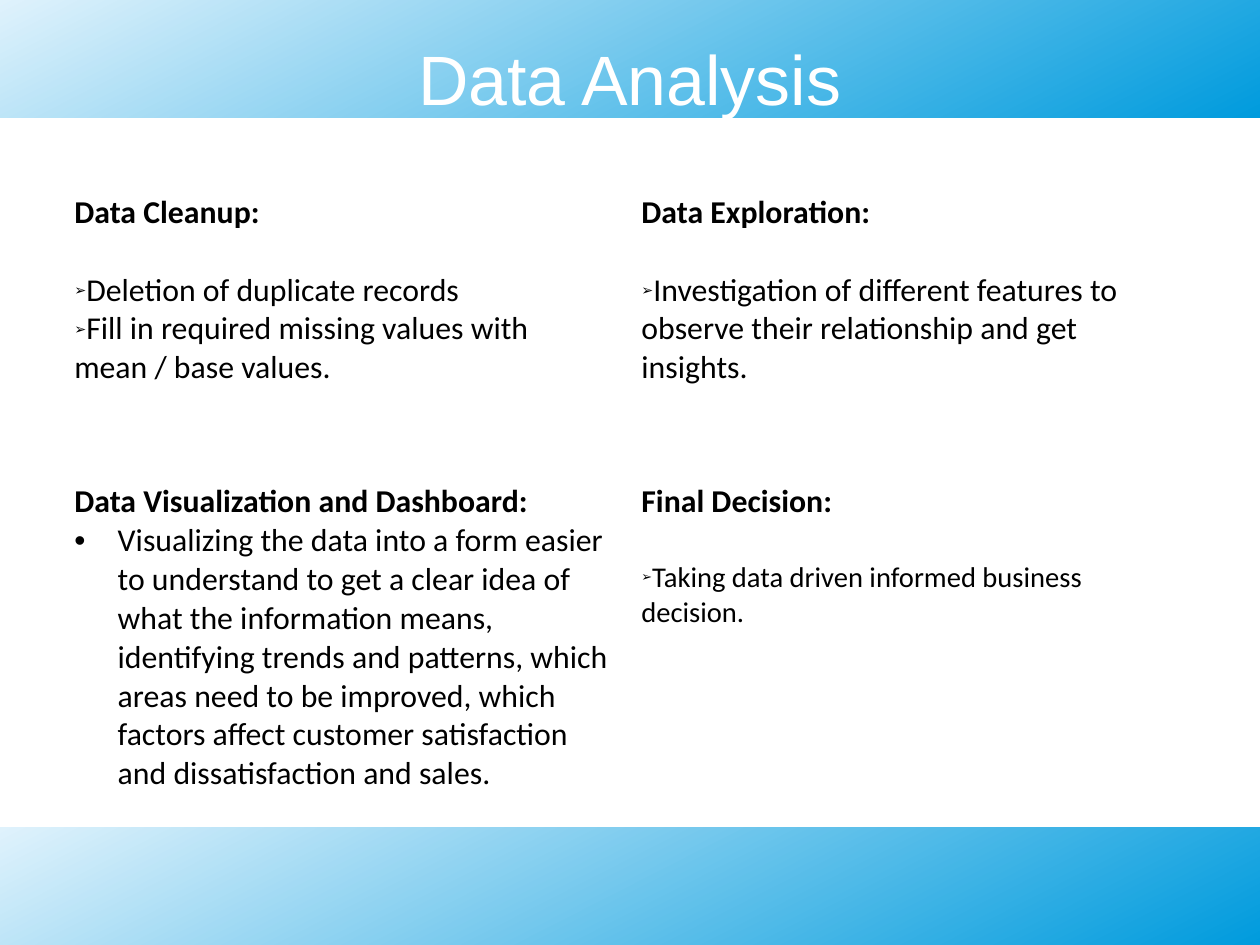
from lxml import etree
from pptx import Presentation
from pptx.dml.color import RGBColor
from pptx.enum.shapes import MSO_SHAPE
from pptx.enum.text import MSO_ANCHOR, PP_ALIGN
from pptx.oxml.ns import qn
from pptx.util import Inches, Pt

RECTANGLE = MSO_SHAPE.RECTANGLE
MIDDLE = MSO_ANCHOR.MIDDLE
CENTER = PP_ALIGN.CENTER

# The page measures 28 by 21 centimetres
WIDTH, HEIGHT = 28 / 2.54, 21 / 2.54
BAND_HEIGHT = 1.03
MARGIN = 0.55
TABLE_HEIGHT = 6.3
ROW_HEIGHT = 2.53
ARROW, DOT = "\u27a2", "\u2022"

# Each step: heading, bullet sign, text size, gap above the points, points
STEPS = [
    [
        ("Data Cleanup:", ARROW, 20, 24.4, [
            "Deletion of duplicate records",
            "Fill in required missing values with mean / base values.",
        ]),
        ("Data Exploration:", ARROW, 20, 24.4, [
            "Investigation of different features to observe their "
            "relationship and get insights.",
        ]),
    ],
    [
        ("Data Visualization and Dashboard:", DOT, 20, 0, [
            "Visualizing the data into a form easier to understand to get a "
            "clear idea of what the information means, identifying trends and "
            "patterns, which areas need to be improved, which factors affect "
            "customer satisfaction and dissatisfaction and sales.",
        ]),
        ("Final Decision:", ARROW, 18, 24.4, [
            "Taking data driven informed business decision.",
        ]),
    ],
]


def color(value):
    return RGBColor.from_string(value)


def format_text(para, font, size, fill, bold=False):
    for span in para.runs:
        span.font.name = font
        span.font.size = Pt(size)
        span.font.bold = bold
        span.font.color.rgb = color(fill)


def add_band(page, top):
    band = page.shapes.add_shape(
        RECTANGLE, 0, Inches(top), Inches(WIDTH), Inches(BAND_HEIGHT))
    band.shadow.inherit = False
    band.line.fill.background()
    band.fill.gradient()
    band.fill.gradient_angle = 360 - 63
    for stop, value in zip(band.fill.gradient_stops, ("DFF2FC", "009BDD")):
        stop.color.rgb = color(value)


def set_title(page, text):
    title = page.shapes.title
    title.left, title.top = Inches(MARGIN), Inches(0.33)
    title.width, title.height = Inches(WIDTH - 2 * MARGIN), Inches(0.7)
    frame = title.text_frame
    frame.text = text
    frame.vertical_anchor = MIDDLE
    frame.margin_left = frame.margin_right = 0
    frame.margin_top = frame.margin_bottom = 0
    frame.paragraphs[0].alignment = CENTER
    format_text(frame.paragraphs[0], "Arial", 44, "FFFFFF")
    # Bring the title in front of the bands
    title.element.getparent().append(title.element)


def add_bullet(para, sign):
    indent = Inches(0.38) if sign == DOT else 0
    props = para._p.get_or_add_pPr()
    props.set("marL", str(indent))
    props.set("indent", str(-indent))
    percent = "45000" if sign == ARROW else "100000"
    etree.SubElement(props, qn("a:buSzPct")).set("val", percent)
    etree.SubElement(props, qn("a:buFont")).set("typeface", "Arial")
    etree.SubElement(props, qn("a:buChar")).set("char", sign)


def fill_cell(cell, heading, sign, size, gap, points):
    cell.fill.background()
    frame = cell.text_frame
    frame.text = heading
    format_text(frame.paragraphs[0], "Calibri", 20, "000000", bold=True)
    for index, point in enumerate(points):
        para = frame.add_paragraph()
        para.text = point
        para.space_before = Pt(0 if index else gap)
        add_bullet(para, sign)
        format_text(para, "Calibri", size, "000000")


def add_steps(page):
    holder = page.shapes.add_table(
        len(STEPS), len(STEPS[0]), Inches(MARGIN), Inches(1.64),
        Inches(WIDTH - 2 * MARGIN), Inches(TABLE_HEIGHT))
    table = holder.table
    table.first_row = table.horz_banding = False
    for row, steps in enumerate(STEPS):
        table.rows[row].height = Inches(ROW_HEIGHT)
        for column, step in enumerate(steps):
            fill_cell(table.cell(row, column), *step)
    holder.height = Inches(TABLE_HEIGHT)


def main():
    deck = Presentation()
    deck.slide_width, deck.slide_height = Inches(WIDTH), Inches(HEIGHT)
    page = deck.slides.add_slide(deck.slide_layouts[5])

    # Header and footer bands
    for top in (0, HEIGHT - BAND_HEIGHT):
        add_band(page, top)

    # Title and the four steps
    set_title(page, "Data Analysis")
    add_steps(page)

    deck.save("out.pptx")


main()
